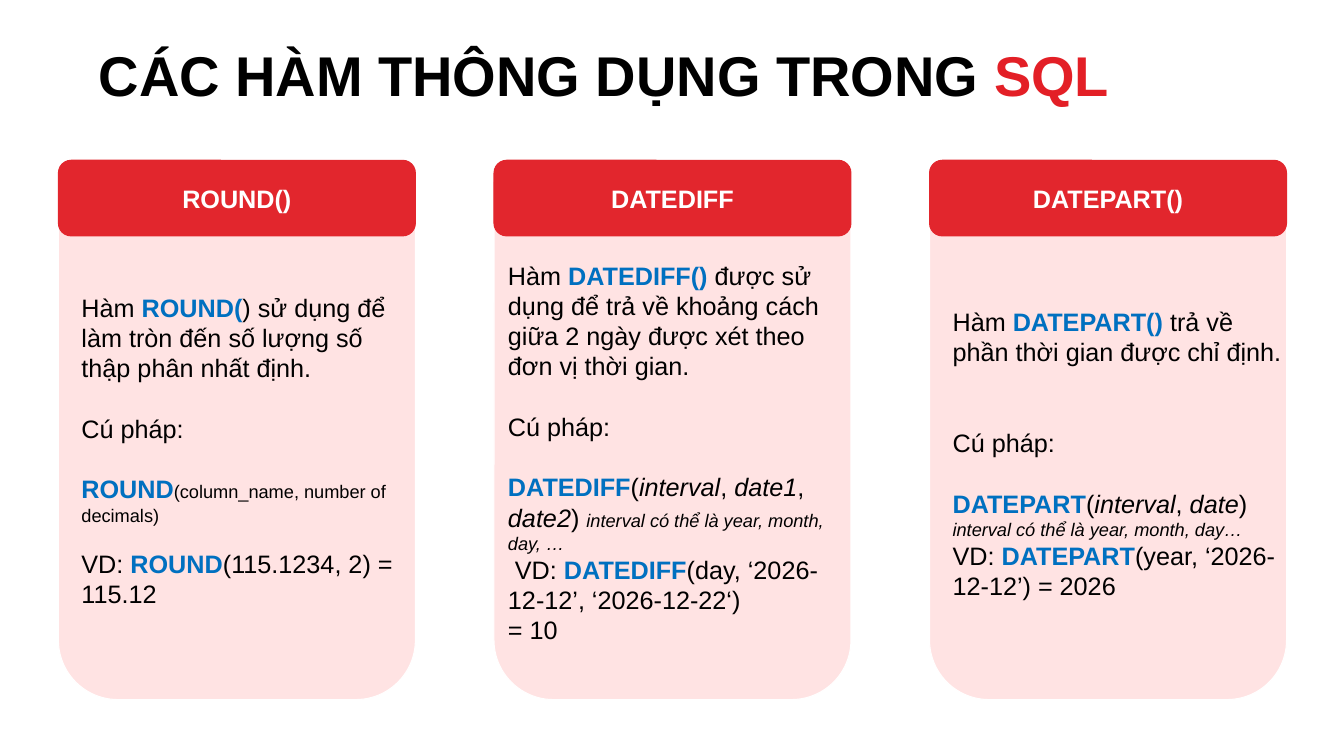
from pptx import Presentation
from pptx import util as u
from pptx.dml.color import RGBColor
from pptx.enum import shapes, text

BLACK = RGBColor(0x00, 0x00, 0x00)
WHITE = RGBColor(0xFF, 0xFF, 0xFF)
TITLE_RED = RGBColor(0xE3, 0x1F, 0x26)
HEADER_RED = RGBColor(0xE2, 0x26, 0x2D)
CARD_PINK = RGBColor(0xFF, 0xE3, 0xE3)
BLUE = RGBColor(0x00, 0x70, 0xC0)

STYLES = {
    "title": dict(size=40, bold=True, color=BLACK),
    "accent": dict(size=40, bold=True, color=TITLE_RED),
    "header": dict(size=18, bold=True, color=WHITE),
    "plain": dict(size=18, bold=False, color=BLACK),
    "keyword": dict(size=18, bold=True, color=BLUE),
    "argument": dict(size=18, bold=False, italic=True, color=BLACK),
    "small": dict(size=13, bold=False, color=BLACK),
    "note": dict(size=13, bold=False, italic=True, color=BLACK),
}

# A paragraph is (space before in points, [(style, text), ...]).
LINE = 21.6
TITLE = [(0, [("title", "CÁC HÀM THÔNG DỤNG TRONG"), ("accent", " SQL")])]
SYNTAX = [("plain", "Cú pháp:")]
CARDS = [
    dict(header="ROUND()", text_box=(71, 280, 350, 337), paragraphs=[
        (0, [("plain", "Hàm "), ("keyword", "ROUND("),
             ("plain", ") sử dụng để làm tròn đến số lượng số thập phân nhất định.")]),
        (LINE, SYNTAX),
        (LINE, [("keyword", "ROUND"), ("small", "(column_name, number of decimals)")]),
        (16, [("plain", "VD: "), ("keyword", "ROUND"), ("plain", "(115.1234, 2) = 115.12")]),
    ]),
    dict(header="DATEDIFF", text_box=(494, 248, 350, 406), paragraphs=[
        (0, [("plain", "Hàm "), ("keyword", "DATEDIFF()"),
             ("plain", " được sử dụng để trả về khoảng cách giữa 2 ngày "
                       "được xét theo đơn vị thời gian.")]),
        (LINE, SYNTAX),
        (LINE, [("keyword", "DATEDIFF"), ("plain", "("), ("argument", "interval"),
                ("plain", ", "), ("argument", "date1"), ("plain", ", "),
                ("argument", "date2"), ("plain", ") "),
                ("note", "interval có thể là year, month, day, …")]),
        (0, [("plain", " VD: "), ("keyword", "DATEDIFF"),
             ("plain", "(day, ‘2026-12-12’, ‘2026-12-22‘)")]),
        (0, [("plain", "= 10")]),
    ]),
    dict(header="DATEPART()", text_box=(935, 294, 350, 315), paragraphs=[
        (0, [("plain", "Hàm "), ("keyword", "DATEPART()"),
             ("plain", " trả về phần thời gian được chỉ định.")]),
        (2 * LINE, SYNTAX),
        (LINE, [("keyword", "DATEPART"), ("plain", "("), ("argument", "interval"),
                ("plain", ", "), ("argument", "date"), ("plain", ")")]),
        (0, [("note", "interval có thể là year, month, day…")]),
        (0, [("plain", "VD: "), ("keyword", "DATEPART"),
             ("plain", "(year, ‘2026-12-12’) = 2026")]),
    ]),
]

PX = 9144  # 100 px to the inch
SLIDE_SIZE = (1333, 750)
TITLE_BOX = (88, 35, 1079, 77)
CARD_LEFT, CARD_PITCH, CARD_WIDTH = 58, 432, 354
BODY_TOP, BODY_HEIGHT = 169, 525
HEADER_TOP, HEADER_HEIGHT = 159, 75


def emu(*lengths):
    return [u.Emu(length * PX) for length in lengths]


def write(frame, paragraphs, align=text.PP_ALIGN.LEFT,
          anchor=text.MSO_ANCHOR.TOP, vertical_margin=10):
    side, edge = emu(10, vertical_margin)
    frame_format = dict(word_wrap=True, auto_size=text.MSO_AUTO_SIZE.NONE,
                        vertical_anchor=anchor, margin_left=side, margin_right=side,
                        margin_top=edge, margin_bottom=edge)
    for name, value in frame_format.items():
        setattr(frame, name, value)
    for index, (space, runs) in enumerate(paragraphs):
        paragraph = frame.add_paragraph() if index else frame.paragraphs[0]
        paragraph.alignment = align
        paragraph.space_before = u.Pt(space)
        for style, words in runs:
            run = paragraph.add_run()
            run.text = words
            font_format = dict(STYLES[style], name="Arial")
            run.font.color.rgb = font_format.pop("color")
            font_format["size"] = u.Pt(font_format["size"])
            for name, value in font_format.items():
                setattr(run.font, name, value)


def add_panel(slide, box, fill, line):
    panel = slide.shapes.add_shape(shapes.MSO_SHAPE.ROUNDED_RECTANGLE, *emu(*box))
    panel.shadow.inherit = False
    panel.fill.solid()
    panel.fill.fore_color.rgb = fill
    panel.line.color.rgb = line
    panel.line.width = u.Pt(0.75)
    return panel


def add_card(slide, left, card):
    add_panel(slide, (left, BODY_TOP, CARD_WIDTH, BODY_HEIGHT), CARD_PINK, WHITE)
    header = add_panel(slide, (left, HEADER_TOP, CARD_WIDTH, HEADER_HEIGHT),
                       HEADER_RED, HEADER_RED)
    write(header.text_frame, [(0, [("header", card["header"])])],
          text.PP_ALIGN.CENTER, text.MSO_ANCHOR.MIDDLE)
    body = slide.shapes.add_textbox(*emu(*card["text_box"]))
    write(body.text_frame, card["paragraphs"])


def main():
    presentation = Presentation()
    presentation.slide_width, presentation.slide_height = emu(*SLIDE_SIZE)
    slide = presentation.slides.add_slide(presentation.slide_layouts[5])
    title = slide.shapes.title
    title.left, title.top, title.width, title.height = emu(*TITLE_BOX)
    write(title.text_frame, TITLE, vertical_margin=5)
    for column, card in enumerate(CARDS):
        add_card(slide, CARD_LEFT + column * CARD_PITCH, card)
    presentation.save("out.pptx")


if __name__ == "__main__":
    main()
